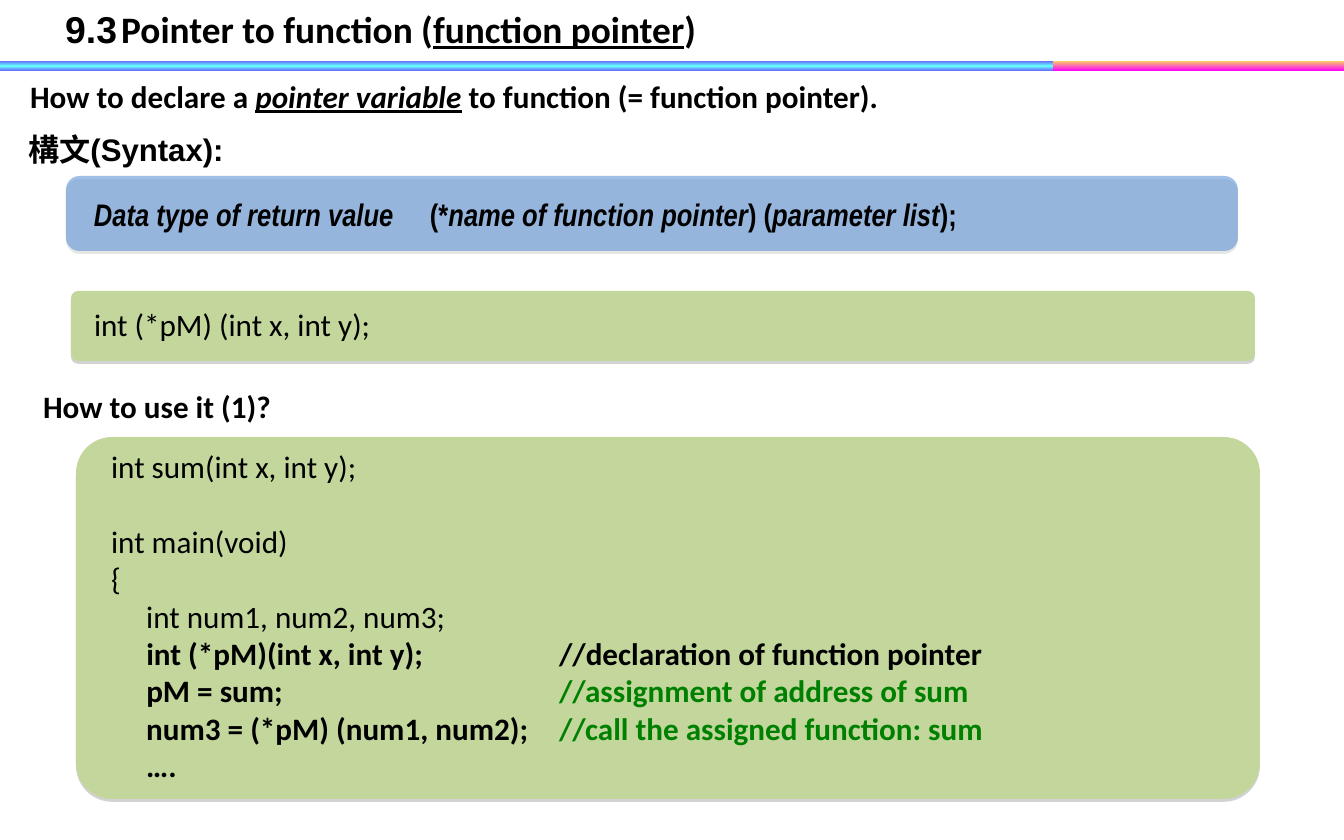
"""Build the slide on declaring and using a pointer to function."""
from lxml import etree
from pptx import Presentation, util as u
from pptx.dml.color import RGBColor
from pptx.enum import shapes, text
from pptx.oxml.ns import qn

PX = u.Inches(1) // 112
BLACK, GREEN = "000000", "008000"


def add_shape(kind, *bounds):
    shape = page.shapes.add_shape(kind, *(n * PX for n in bounds))
    shape.line.fill.background()
    shape.shadow.inherit = False
    return shape


def write(box, lines, size, font):
    frame = box.text_frame
    frame.vertical_anchor = text.MSO_ANCHOR.TOP
    frame.auto_size = text.MSO_AUTO_SIZE.NONE
    frame.word_wrap = True
    for number, spans in enumerate(lines):
        para = frame.paragraphs[0] if number == 0 else frame.add_paragraph()
        para.alignment = text.PP_ALIGN.LEFT
        for words, style, color, *other_font in spans:
            span = para.add_run()
            span.text = words
            span.font.name = other_font[0] if other_font else font
            span.font.size = u.Pt(size)
            span.font.bold = "b" in style
            span.font.italic = "i" in style
            span.font.underline = "u" in style
            span.font.color.rgb = RGBColor.from_string(color)
    return frame


deck = Presentation()
deck.slide_width, deck.slide_height = 1344 * PX, 840 * PX
page = deck.slides.add_slide(deck.slide_layouts[5])

title = page.shapes.title
title.left, title.top, title.width, title.height = (n * PX for n in (54, 1, 773, 56))
write(title, [[
    ("9.3\t", "b", BLACK, "Arial"),
    ("Pointer to function (", "b", BLACK),
    ("function pointer", "bu", BLACK),
    (")", "b", BLACK),
]], 24, "Calibri").word_wrap = False

bars = [
    (995, 349, ["FF00FF", "FFCC66"]),
    (0, 1053, ["6666FF", "66FFFF", "6666FF"]),
]
for left, width, colors in bars:
    bar = add_shape(shapes.MSO_SHAPE.RECTANGLE, left, 61, width, 10)
    bar.fill.gradient()
    bar.fill.gradient_angle = 90
    stops = bar._element.spPr.find(".//" + qn("a:gsLst"))
    stops.clear()
    for number, color in enumerate(colors):
        position = 100000 * number // (len(colors) - 1)
        stop = etree.SubElement(stops, qn("a:gs"), pos=str(position))
        etree.SubElement(stop, qn("a:srgbClr"), val=color)

panels = [
    ((66, 176, 1172, 75), 0.18, "558ED5", 55),
    ((71, 291, 1184, 70), 0.1, "C3D69B", 100),
    ((76, 437, 1184, 362), 0.1, "C3D69B", 100),
]
for bounds, corner, color, opacity in panels:
    panel = add_shape(shapes.MSO_SHAPE.ROUNDED_RECTANGLE, *bounds)
    panel.adjustments[0] = corner
    panel.fill.solid()
    panel.fill.fore_color.rgb = RGBColor.from_string(color)
    properties = panel._element.spPr
    if opacity < 100:
        tint = properties.find(qn("a:solidFill")).find(qn("a:srgbClr"))
        etree.SubElement(tint, qn("a:alpha"), val=str(opacity * 1000))
    effects = properties.find(qn("a:effectLst"))
    shadow = etree.SubElement(effects, qn("a:outerShdw"), dist=str(u.Pt(1.8)),
                              dir="5400000", rotWithShape="0")
    shade = etree.SubElement(shadow, qn("a:srgbClr"), val="808080")
    etree.SubElement(shade, qn("a:alpha"), val="35000")

texts = [
    ((19, 72, 1197, 48), "Calibri", [
        ("How to declare a ", "b", BLACK),
        ("pointer variable", "biu", BLACK),
        (" ", "bi", BLACK),
        ("to function (= function pointer).", "b", BLACK),
    ]),
    ((17, 125, 297, 48), "Arial", [("構文(Syntax):", "b", BLACK)]),
    ((83, 190, 1104, 48), "Arial Narrow", [
        ("Data type of return value\t", "bi", BLACK),
        ("(*", "b", BLACK),
        ("name of function pointer", "bi", BLACK),
        (") (", "b", BLACK),
        ("parameter list", "bi", BLACK),
        (");", "b", BLACK),
    ]),
    ((83, 300, 668, 48), "Calibri", [("int (*pM) (int x, int y);", "", BLACK)]),
    ((32, 382, 1197, 48), "Calibri", [("How to use it (1)?", "b", BLACK)]),
]
for bounds, font, spans in texts:
    box = page.shapes.add_textbox(*(n * PX for n in bounds))
    write(box, [spans], 20, font)

code = [
    [("int sum(int x, int y);", "", BLACK)],
    [("int main(void)", "", BLACK)],
    [("{", "", BLACK)],
    [("     int num1, num2, num3;", "", BLACK)],
    [("     ", "", BLACK),
     ("int (*pM)(int x, int y);\t//declaration of function pointer", "b", BLACK)],
    [("     ", "", BLACK), ("pM = sum;\t", "b", BLACK),
     ("//assignment of address of sum", "b", GREEN)],
    [("     num3 = (*pM) (num1, num2);\t", "b", BLACK),
     ("//call the assigned function: sum", "b", GREEN)],
    [("     ….", "b", BLACK)],
]
listing = page.shapes.add_textbox(*(n * PX for n in (100, 442, 1244, 347)))
code_frame = write(listing, code, 20, "Calibri")
code_frame.paragraphs[1].space_before = u.Pt(24)
for para in code_frame.paragraphs[4:7]:
    tabs = etree.SubElement(para._p.get_or_add_pPr(), qn("a:tabLst"))
    etree.SubElement(tabs, qn("a:tab"), pos=str(448 * PX), algn="l")

deck.save("out.pptx")
